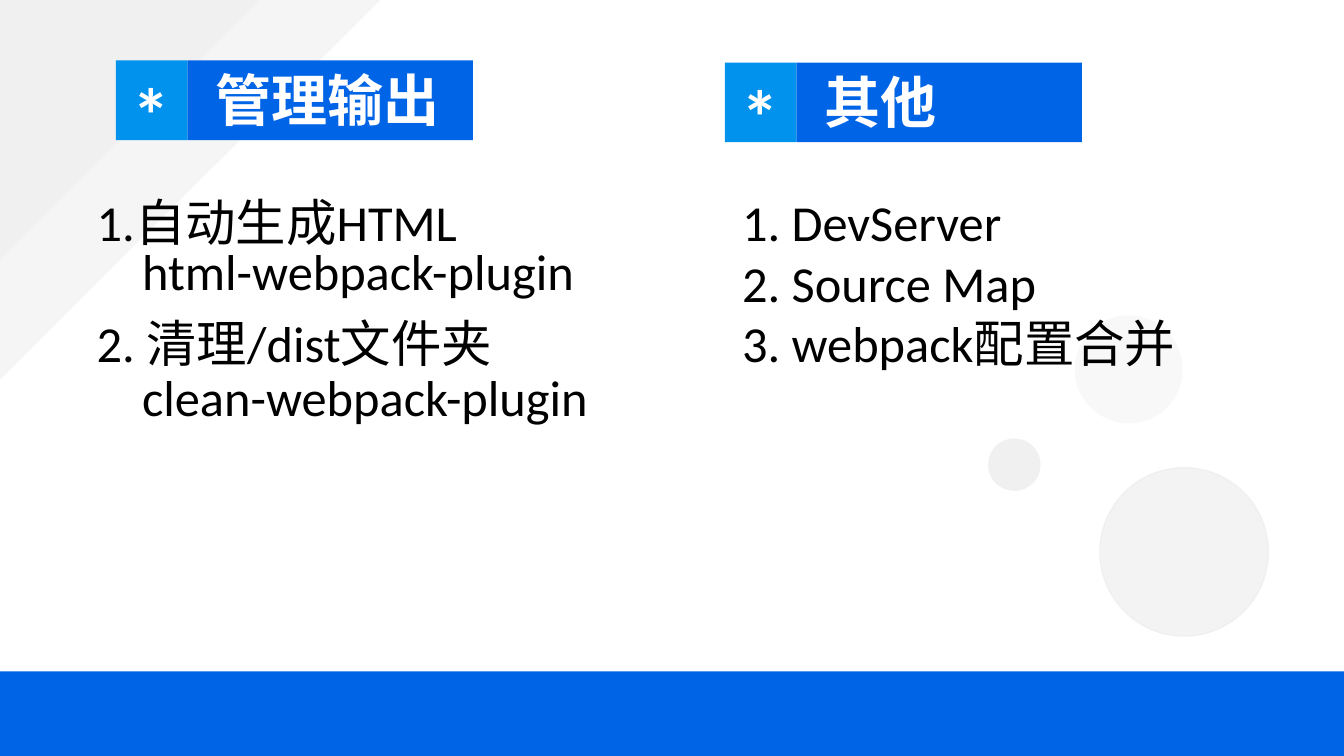
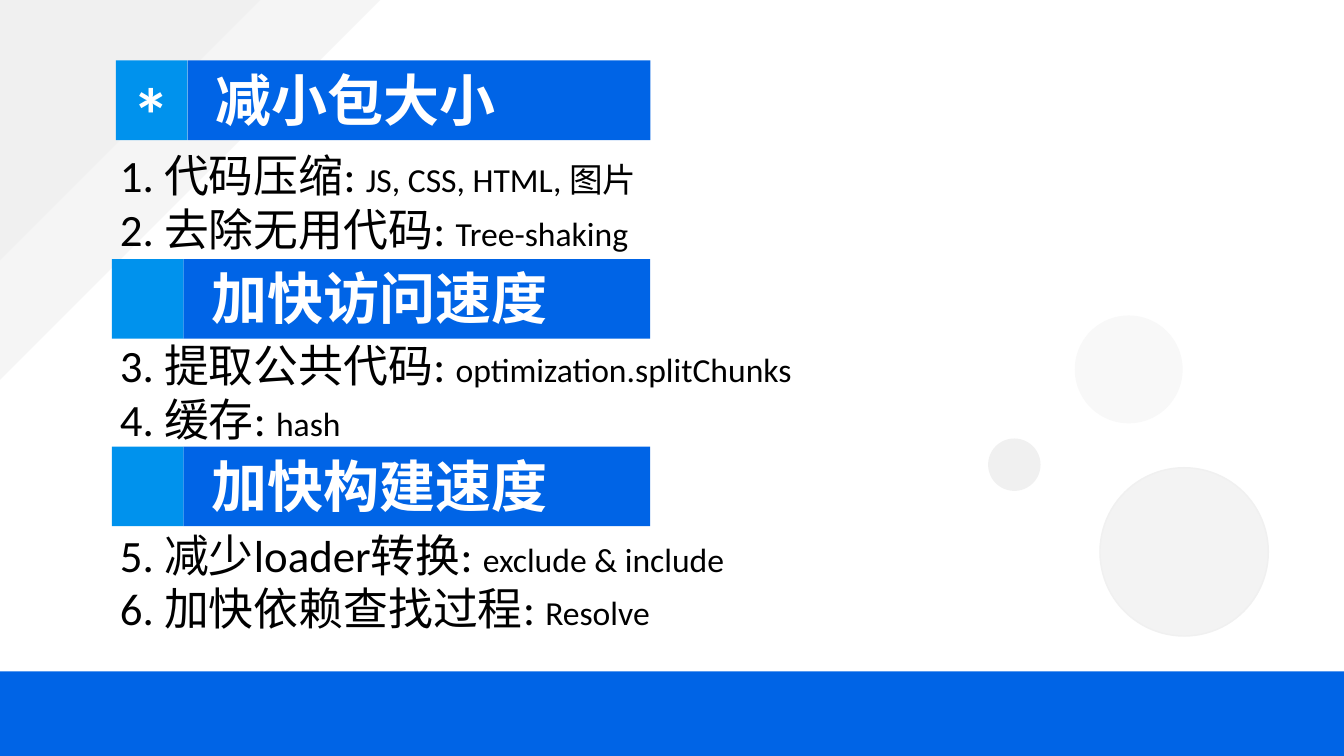
"""Build two slides on bundling output, package size and build speed."""
from pptx import Presentation
from pptx.dml.color import RGBColor
from pptx.enum import shapes as sh
from pptx.oxml import ns
from pptx.util import Inches, Pt
from lxml import etree

BLUE = RGBColor(0x00, 0x64, 0xE6)
SKY = RGBColor(0x00, 0x92, 0xED)
WHITE = RGBColor(0xFF, 0xFF, 0xFF)
BLACK = RGBColor(0x00, 0x00, 0x00)
PALE = RGBColor(0xF8, 0xF8, 0xF8)
MIST = RGBColor(0xF5, 0xF5, 0xF5)
FOG = RGBColor(0xF3, 0xF3, 0xF3)
GREY = RGBColor(0xF0, 0xF0, 0xF0)

LATIN = "Calibri"
HAN = "Noto Sans CJK SC"
RECT = sh.MSO_SHAPE.RECTANGLE
OVAL = sh.MSO_SHAPE.OVAL

WIDE, HIGH = 13.33, 7.5
FOOT = 6.66
TAB, BAND = 0.71, 0.79
DOTS = [
    (9.8, 4.35, 0.52, GREY, None),
    (10.66, 3.13, 1.07, PALE, None),
    (10.91, 4.64, 1.67, FOG, GREY),
]


def paint(shape, fill, line=None):
    """Give a shape a flat fill and an optional thin outline."""
    shape.shadow.inherit = False
    shape.fill.solid()
    shape.fill.fore_color.rgb = fill
    if line is None:
        shape.line.fill.background()
    else:
        shape.line.color.rgb = line
        shape.line.width = Pt(1)


def block(slide, kind, x, y, w, h, fill, line=None):
    """Add a filled preset shape."""
    shape = slide.shapes.add_shape(kind, Inches(x), Inches(y), Inches(w), Inches(h))
    paint(shape, fill, line)


def corner(slide, size, fill):
    """Add a triangle filling the top left corner."""
    path = slide.shapes.build_freeform(0, 0)
    path.add_line_segments([(0, Inches(size)), (Inches(size), 0)], close=True)
    paint(path.convert_to_shape(), fill)


def frame(slide, x, y, w, h):
    """Add a wrapping text box and return its text frame."""
    box = slide.shapes.add_textbox(Inches(x), Inches(y), Inches(w), Inches(h))
    area = box.text_frame
    area.word_wrap = True
    area.margin_left = area.margin_right = Inches(0.05)
    area.margin_top = area.margin_bottom = Inches(0.05)
    return area


def style(para, size, color, face=LATIN, bold=False):
    """Set the font of a whole paragraph, Chinese text included."""
    font = para.font
    font.size, font.name, font.bold = Pt(size), face, bold
    font.color.rgb = color
    props = para._p.get_or_add_pPr().find(ns.qn("a:defRPr"))
    etree.SubElement(props, ns.qn("a:ea")).set("typeface", LATIN)


def label(slide, x, y, w, h, words, size, face):
    """Add one line of bold white text."""
    para = frame(slide, x, y, w, h).paragraphs[0]
    para.text = words
    style(para, size, WHITE, face, True)


def heading(slide, x, y, right, words, star=True):
    """Add a blue heading band with a lighter tab on its left."""
    left = x + TAB
    block(slide, RECT, left, y, right - left, BAND, BLUE)
    block(slide, RECT, x, y, TAB, BAND, SKY)
    label(slide, left + 0.23, y, right - left - 0.23, 0.77, words, 40, HAN)
    if star:
        label(slide, x + 0.11, y + 0.01, 0.55, 1.01, "*", 54, LATIN)


def listing(slide, x, y, w, h, size, rows):
    """Add lines of (text, small text, line spacing, indent, gap above)."""
    area = frame(slide, x, y, w, h)
    for num, (words, note, pitch, indent, gap) in enumerate(rows):
        para = area.add_paragraph() if num else area.paragraphs[0]
        para.add_run().text = words
        if note:
            run = para.add_run()
            run.text = note
            run.font.size = Pt(24)
        para.line_spacing = pitch
        para.space_before = Pt(gap)
        if indent:
            para._p.get_or_add_pPr().set("marL", str(Inches(indent)))
        style(para, size, BLACK)


def canvas(deck):
    """Add a blank slide with the shared corner, footer and dots."""
    slide = deck.slides.add_slide(deck.slide_layouts[6])
    corner(slide, 3.77, MIST)
    block(slide, RECT, 0, FOOT, WIDE, HIGH - FOOT, BLUE)
    corner(slide, 2.58, GREY)
    for x, y, size, fill, line in DOTS:
        block(slide, OVAL, x, y, size, size, fill, line)
    return slide


def output(deck):
    """Build the slide on managing output."""
    slide = canvas(deck)
    listing(slide, 0.91, 1.85, 5.26, 2.46, 36, [
        ("1.自动生成HTML", "", 1, 0, 0),
        ("html-webpack-plugin", "", 0.8, 0.45, 0),
        ("2. 清理/dist文件夹", "", 1.2, 0, 0),
        ("clean-webpack-plugin", "", 0.9, 0.45, 0),
    ])
    names = ["1. DevServer", "2. Source Map", "3. webpack配置合并"]
    listing(slide, 7.31, 1.85, 5.26, 1.92, 36, [(name, "", 1, 0, 0) for name in names])
    heading(slide, 1.15, 0.6, 4.69, "管理输出")
    heading(slide, 7.19, 0.62, 10.73, "其他")


def speed(deck):
    """Build the slide on package size and speed."""
    slide = canvas(deck)
    gap = 58.6
    listing(slide, 1.14, 1.42, 11.93, 5.55, 32, [
        ("1. 代码压缩: ", "JS, CSS, HTML, 图片", 1, 0, 0),
        ("2. 去除无用代码: ", "Tree-shaking", 1, 0, 0),
        ("3. 提取公共代码: ", "optimization.splitChunks", 1, 0, gap),
        ("4. 缓存: ", "hash", 1, 0, 0),
        ("5. 减少loader转换: ", "exclude & include", 1, 0, gap),
        ("6. 加快依赖查找过程: ", "Resolve", 1, 0, 0),
    ])
    heading(slide, 1.15, 0.6, 6.45, "减小包大小")
    heading(slide, 1.11, 2.57, 6.45, "加快访问速度", False)
    heading(slide, 1.11, 4.43, 6.45, "加快构建速度", False)


def main():
    """Build and save the deck."""
    deck = Presentation()
    deck.slide_width, deck.slide_height = Inches(WIDE), Inches(HIGH)
    output(deck)
    speed(deck)
    deck.save("out.pptx")


if __name__ == "__main__":
    main()
